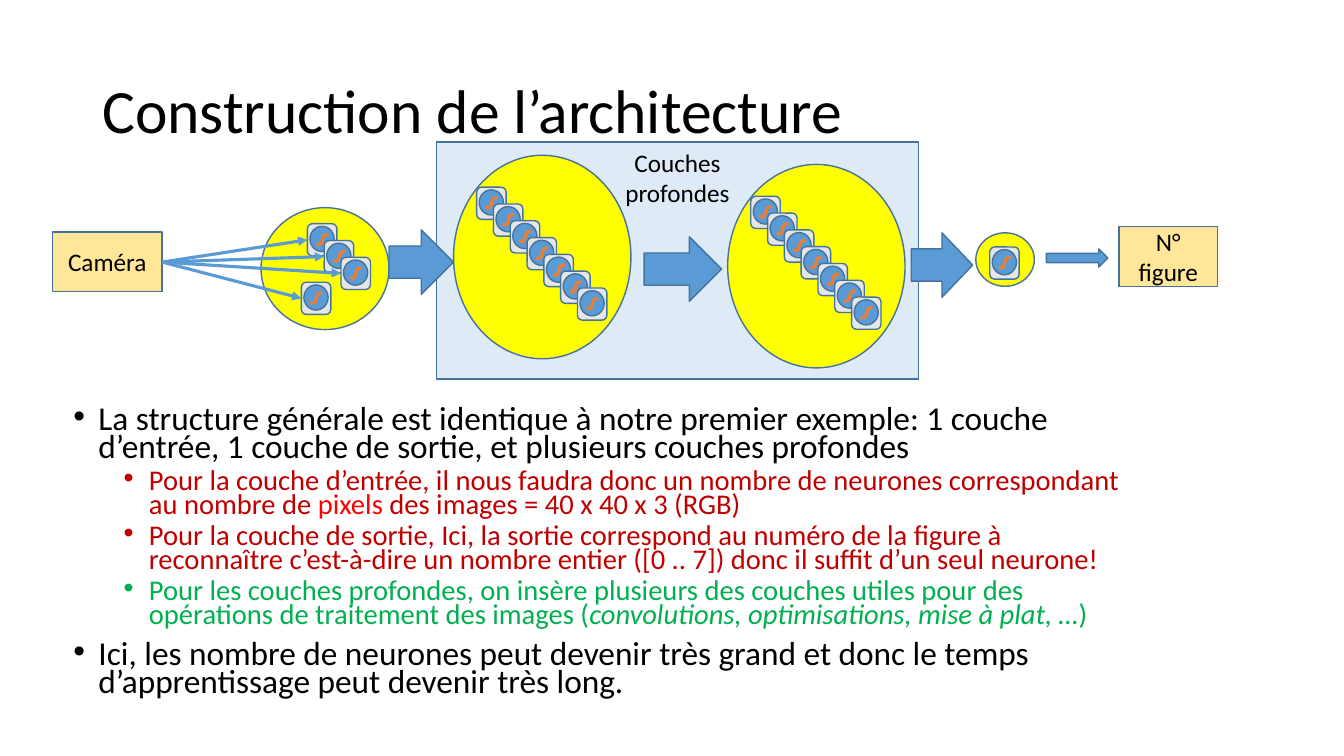
from lxml import etree
from pptx import Presentation
from pptx.dml.color import RGBColor
from pptx.enum.shapes import MSO_CONNECTOR, MSO_SHAPE
from pptx.enum.text import MSO_ANCHOR, PP_ALIGN
from pptx.oxml.ns import qn
from pptx.util import Pt

RECT, OVAL = MSO_SHAPE.RECTANGLE, MSO_SHAPE.OVAL
ROUNDED, ARROW = MSO_SHAPE.ROUNDED_RECTANGLE, MSO_SHAPE.RIGHT_ARROW
STRAIGHT = MSO_CONNECTOR.STRAIGHT
TOP, MIDDLE = MSO_ANCHOR.TOP, MSO_ANCHOR.MIDDLE
CENTER = PP_ALIGN.CENTER

COLORS = {
    "black": "000000", "outline": "43739E", "blue": "5B9BD5", "panel": "DEEBF7",
    "layer": "FFFF00", "tile": "E7E6E6", "sigmoid": "ED7D31", "box": "FFE699",
    "dark_red": "C00000", "red": "FF0000", "green": "00B050",
}
FONT = "Calibri"
NEURON_STEP = 12
NEURON_WIDTH, NEURON_HEIGHT = 21, 23
# Offsets inside a neuron: start point, then cubic Bézier segments
SIGMOID_START = (6.6, 14.2)
SIGMOID_CURVES = [
    ((7.8, 14.9), (8.8, 15.1), (9.8, 14.1)),
    ((10.6, 13.2), (10.8, 9.8), (11.7, 8.6)),
    ((12.6, 7.6), (15, 7.5), (15, 7.5)),
]
CURVE_STEPS = 6

# Each bullet: level, runs of (text, colour, italic)
BULLETS = [
    (0, [("La structure générale est identique à notre premier exemple: 1 couche "
          "d’entrée, 1 couche de sortie, et plusieurs couches profondes", "black", False)]),
    (1, [("Pour la couche d’entrée, il nous faudra donc un nombre de neurones "
          "correspondant au nombre de ", "dark_red", False),
         ("pixels", "red", False),
         (" des images = 40 x 40 x 3 (RGB)", "dark_red", False)]),
    (1, [("Pour la couche de sortie, Ici, la sortie correspond au numéro de la figure à "
          "reconnaître c’est-à-dire un nombre entier ([0 .. 7]) donc il suffit d’un seul "
          "neurone!", "dark_red", False)]),
    (1, [("Pour les couches profondes, on insère plusieurs des couches utiles pour des "
          "opérations de traitement des images (", "green", False),
         ("convolutions, optimisations, mise à plat, …", "green", True),
         (")", "green", False)]),
    (0, [("Ici, les nombre de neurones peut devenir très grand et donc le temps "
          "d’apprentissage peut devenir très long.", "black", False)]),
]
# Per level: font size, left margin, space before
LEVELS = [(23.8, 18, 10), (20.4, 54, 5)]


def rgb(name):
    return RGBColor.from_string(COLORS[name])


def sigmoid_points(left, top):
    """Sample the activation curve of the neuron at left, top, in EMU."""
    points = [SIGMOID_START]
    for first, second, end in SIGMOID_CURVES:
        start = points[-1]
        for step in range(1, CURVE_STEPS + 1):
            t = step / CURVE_STEPS
            weights = ((1 - t) ** 3, 3 * t * (1 - t) ** 2, 3 * t * t * (1 - t), t ** 3)
            controls = (start, first, second, end)
            points.append(tuple(sum(w * c[axis] for w, c in zip(weights, controls))
                                for axis in (0, 1)))
    return [(Pt(left + x), Pt(top + y)) for x, y in points]


class ArchitectureSlide:
    def __init__(self, slide):
        self.shapes = slide.shapes

    def style_run(self, run, size, color="black", italic=False):
        run.font.name = FONT
        run.font.size = Pt(size)
        run.font.italic = italic
        run.font.color.rgb = rgb(color)

    def shape(self, kind, left, top, width, height, fill):
        figure = self.shapes.add_shape(kind, Pt(left), Pt(top), Pt(width), Pt(height))
        figure.shadow.inherit = False
        figure.fill.solid()
        figure.fill.fore_color.rgb = rgb(fill)
        figure.line.color.rgb = rgb("outline")
        figure.line.width = Pt(1)
        return figure

    def labelled_box(self, left, top, width, height, fill, label, anchor=MIDDLE):
        frame = self.shape(RECT, left, top, width, height, fill).text_frame
        frame.text = label
        frame.word_wrap = True
        frame.vertical_anchor = anchor
        for paragraph in frame.paragraphs:
            paragraph.alignment = CENTER
            self.style_run(paragraph.runs[0], 18)

    def neuron(self, left, top):
        self.shape(ROUNDED, left, top, NEURON_WIDTH, NEURON_HEIGHT, "tile")
        self.shape(OVAL, left + 1.8, top + 1.9, 17.3, 18, "blue")
        start, *others = sigmoid_points(left, top)
        builder = self.shapes.build_freeform(*start)
        builder.add_line_segments(others, close=False)
        curve = builder.convert_to_shape()
        curve.shadow.inherit = False
        curve.fill.background()
        curve.line.color.rgb = rgb("sigmoid")
        curve.line.width = Pt(2.25)

    def neurons(self, left, top, count):
        """Stack neurons along a diagonal."""
        for index in range(count):
            self.neuron(left + index * NEURON_STEP, top + index * NEURON_STEP)

    def deep_layer(self, left, top):
        self.shape(OVAL, left, top, 126.7, 145.4, "layer")
        self.neurons(left + 16.5, top + 22.8, 7)

    def signal(self, start, end):
        """Arrow from the camera to a neuron."""
        link = self.shapes.add_connector(STRAIGHT, *(Pt(v) for v in (*start, *end)))
        link.line.color.rgb = rgb("blue")
        link.line.width = Pt(2.25)
        properties = link.line._get_or_add_ln()
        etree.SubElement(properties, qn("a:tailEnd"), type="triangle")
        etree.SubElement(link._element.spPr, qn("a:effectLst"))

    def text_box(self, left, top, width, height, anchor):
        frame = self.shapes.add_textbox(Pt(left), Pt(top), Pt(width), Pt(height)).text_frame
        frame.word_wrap = True
        frame.vertical_anchor = anchor
        return frame

    def title(self, wording):
        frame = self.text_box(66, 29, 828, 104, MIDDLE)
        frame.text = wording
        frame.paragraphs[0].line_spacing = 0.9
        self.style_run(frame.paragraphs[0].runs[0], 44)

    def bullets(self, items):
        frame = self.text_box(45.3, 288, 764, 233, TOP)
        for index, (level, parts) in enumerate(items):
            size, margin, space = LEVELS[level]
            paragraph = frame.add_paragraph() if index else frame.paragraphs[0]
            paragraph.level = level
            paragraph.line_spacing = 0.7
            paragraph.space_before = Pt(space)
            properties = paragraph._p.get_or_add_pPr()
            properties.set("marL", str(Pt(margin)))
            properties.set("indent", str(Pt(-18)))
            etree.SubElement(properties, qn("a:buFont"), typeface="Arial")
            etree.SubElement(properties, qn("a:buChar"), char="•")
            for wording, color, italic in parts:
                run = paragraph.add_run()
                run.text = wording
                self.style_run(run, size, color, italic)


def main():
    deck = Presentation()
    deck.slide_width, deck.slide_height = Pt(960), Pt(540)
    page = ArchitectureSlide(deck.slides.add_slide(deck.slide_layouts[6]))

    page.title("Construction de l’architecture")
    page.labelled_box(311.8, 101.5, 344.2, 169.2, "panel", "Couches\nprofondes", TOP)
    page.deep_layer(324, 110.9)
    page.deep_layer(519.8, 117.4)

    page.shape(OVAL, 697, 166.3, 41.8, 38.2, "layer")
    page.neuron(707, 176.4)

    input_left, input_top, input_count = 219.6, 159.8, 3
    page.shape(OVAL, 186.5, 148.3, 91.4, 87.1, "layer")
    page.neurons(input_left, input_top, input_count)
    last_neuron = (215.3, 201.6)
    page.neuron(*last_neuron)

    for left, top, width, height in [(277.9, 164.2, 46.1, 46.1), (460.1, 169.2, 55.4, 46.1),
                                     (650.9, 166.3, 43.9, 46.1), (747.4, 177.8, 43.9, 13)]:
        page.shape(ARROW, left, top, width, height, "blue")

    page.labelled_box(37.4, 165.6, 78.5, 42.5, "box", "Caméra")
    page.labelled_box(799.2, 162, 70.6, 42.5, "box", "N° figure")
    targets = [(input_left + i * NEURON_STEP, input_top + i * NEURON_STEP)
               for i in range(input_count)] + [last_neuron]
    for left, top in targets:
        page.signal((115.9, 187.2), (left, top + NEURON_HEIGHT / 2))

    page.bullets(BULLETS)
    deck.save("out.pptx")


if __name__ == "__main__":
    main()
